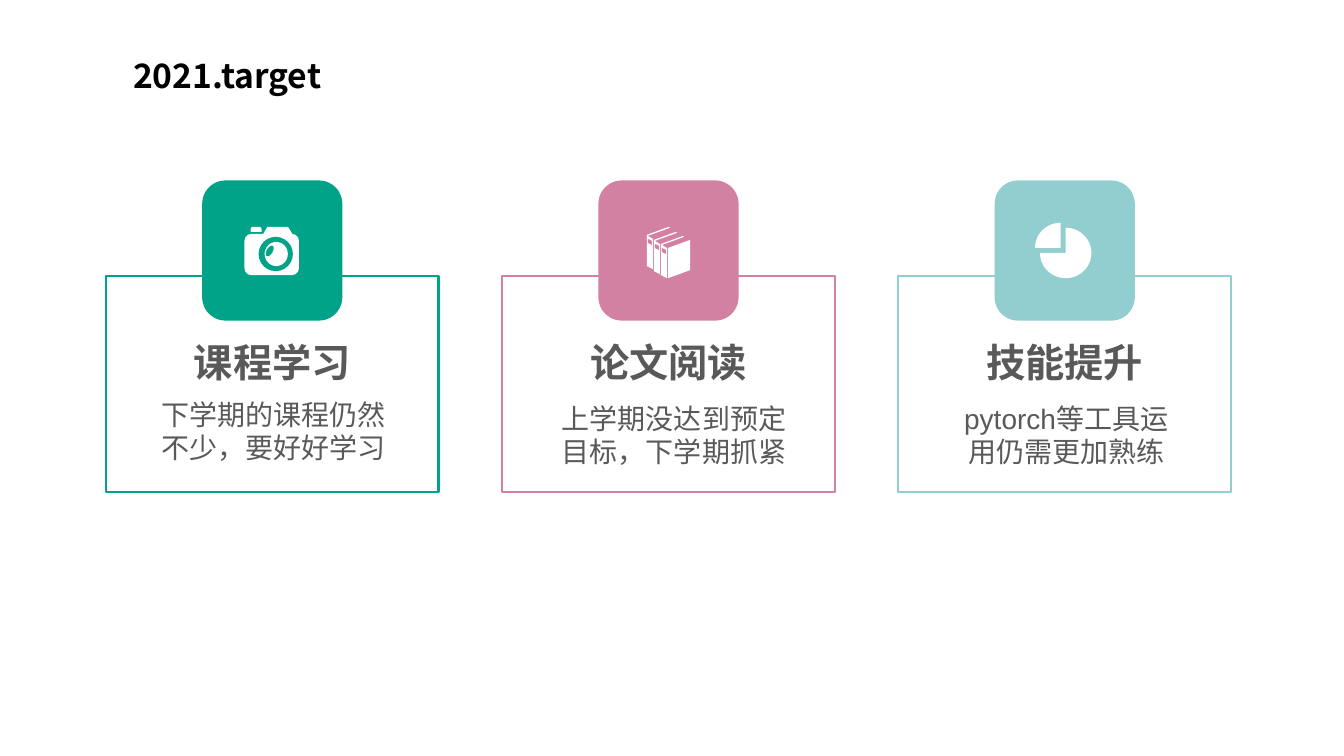
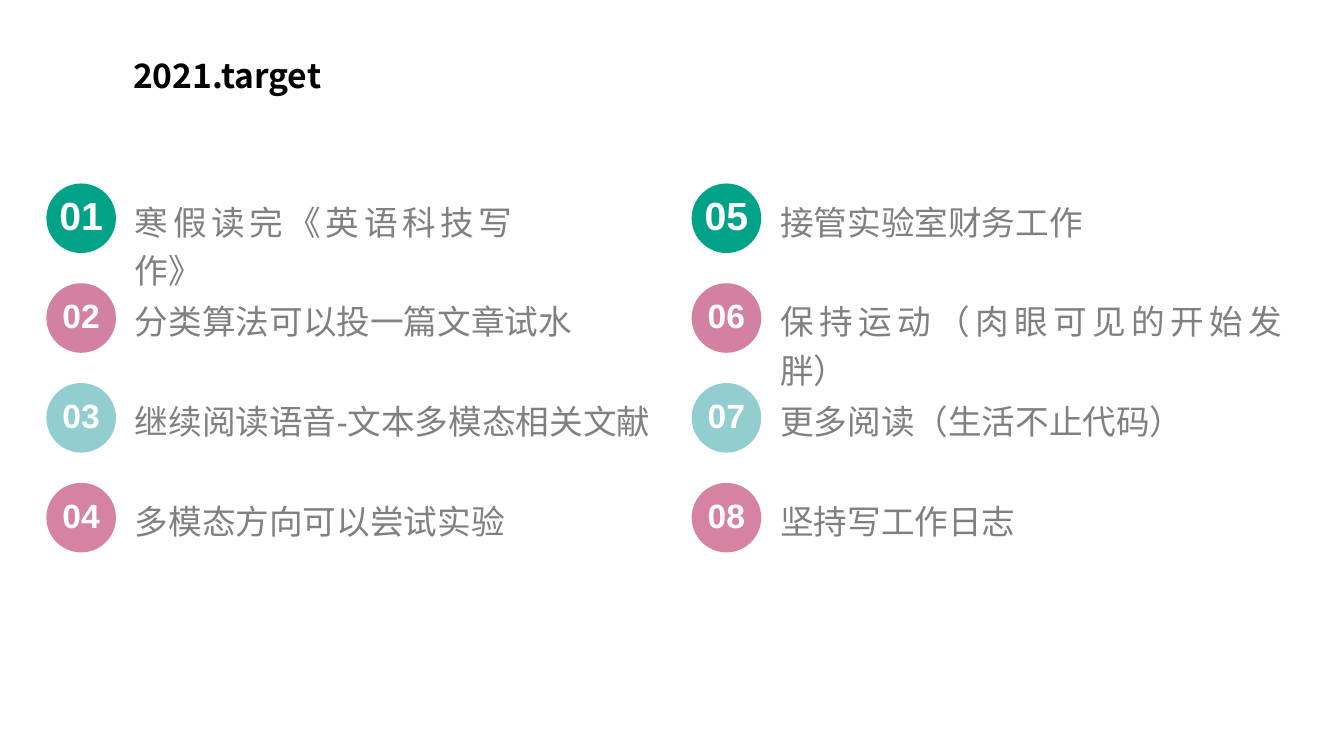
from dataclasses import dataclass
from typing import Callable

import pptx
import pptx.dml.color
import pptx.enum.shapes
import pptx.enum.text
import pptx.oxml
import pptx.oxml.ns
import pptx.presentation
import pptx.shapes.autoshape
import pptx.shapes.shapetree
import pptx.slide
import pptx.text.text
import pptx.util

Inches = pptx.util.Inches
RGBColor = pptx.dml.color.RGBColor
Shape = pptx.shapes.autoshape.Shape
Shapes = pptx.shapes.shapetree.SlideShapes | pptx.shapes.shapetree.GroupShapes
Kind = pptx.enum.shapes.MSO_SHAPE
Align = pptx.enum.text.PP_ALIGN
Anchor = pptx.enum.text.MSO_ANCHOR

GREEN = RGBColor(0x00, 0xA3, 0x88)
PINK = RGBColor(0xD3, 0x81, 0xA2)
ROSE = RGBColor(0xD5, 0x82, 0xA3)
AQUA = RGBColor(0x92, 0xCD, 0xCF)
WHITE = RGBColor(0xFF, 0xFF, 0xFF)
BLACK = RGBColor(0x00, 0x00, 0x00)
DARK_GRAY = RGBColor(0x59, 0x59, 0x59)
GRAY = RGBColor(0x80, 0x80, 0x80)

TITLE = "2021.target"
TITLE_FONT = "Noto Sans CJK SC"
BODY_FONT = "Arial"

CARD_LEFT, CARD_TOP, CARD_PITCH = 1.05, 2.74, 3.93
CARD_W, CARD_H = 3.3, 2.14
BADGE_TOP, BADGE_SIZE = 1.79, 1.39

GOAL_LEFT, GOAL_TOP = 0.46, 1.82
GOAL_COL_PITCH, GOAL_ROW_PITCH = 6.4, 0.99
CIRCLE_SIZE = 0.69
ROW_COLORS = (GREEN, PINK, AQUA, ROSE)


@dataclass(frozen=True)
class Card:
    heading: str
    body: str
    body_dx: float
    body_top: float
    color: RGBColor
    draw_icon: Callable[[Shapes, float, float, RGBColor], None]


@dataclass(frozen=True)
class Goal:
    text: str
    width: float
    height: float = 0.54


def add_run(p: pptx.text.text._Paragraph, text: str, size: float, color: RGBColor,
            bold: bool = False, font: str = BODY_FONT) -> None:
    """Add a run with the same font for Latin and East Asian characters."""
    r = p.add_run()
    r.text = text
    r.font.size = pptx.util.Pt(size)
    r.font.bold = bold
    r.font.color.rgb = color
    r.font.name = font
    ea = pptx.oxml.parse_xml(f'<a:ea {pptx.oxml.ns.nsdecls("a")} typeface="{font}"/>')
    r.font._element.find(pptx.oxml.ns.qn("a:latin")).addnext(ea)


def add_filled(shapes: Shapes, kind: Kind, x: float, y: float, w: float, h: float,
               color: RGBColor) -> Shape:
    sp = shapes.add_shape(kind, Inches(x), Inches(y), Inches(w), Inches(h))
    sp.shadow.inherit = False
    sp.fill.solid()
    sp.fill.fore_color.rgb = color
    sp.line.fill.background()
    return sp


def add_polygon(shapes: Shapes, points: list[tuple[float, float]], color: RGBColor) -> None:
    first, *rest = [(Inches(x), Inches(y)) for x, y in points]
    builder = shapes.build_freeform(*first)
    builder.add_line_segments(rest)
    sp = builder.convert_to_shape()
    sp.shadow.inherit = False
    sp.fill.solid()
    sp.fill.fore_color.rgb = color
    sp.line.fill.background()


def add_text(shapes: Shapes, text: str, x: float, y: float, w: float, h: float, size: float,
             color: RGBColor, align: Align, bold: bool = False,
             spacing: float | None = None) -> None:
    tf = shapes.add_textbox(Inches(x), Inches(y), Inches(w), Inches(h)).text_frame
    tf.word_wrap = True
    p = tf.paragraphs[0]
    p.alignment = align
    p.line_spacing = spacing
    add_run(p, text, size, color, bold)


def draw_camera(shapes: Shapes, x: float, y: float, color: RGBColor) -> None:
    flash = add_filled(shapes, Kind.ROUND_2_SAME_RECTANGLE, x + 0.48, y + 0.46, 0.11, 0.05, WHITE)
    flash.adjustments[0] = 0.5
    add_filled(shapes, Kind.TRAPEZOID, x + 0.6, y + 0.46, 0.3, 0.08, WHITE).adjustments[0] = 0.6
    add_filled(shapes, Kind.ROUNDED_RECTANGLE, x + 0.42, y + 0.53, 0.54, 0.41, WHITE)
    add_filled(shapes, Kind.OVAL, x + 0.56, y + 0.56, 0.34, 0.34, color)
    add_filled(shapes, Kind.OVAL, x + 0.62, y + 0.61, 0.23, 0.24, WHITE)
    add_filled(shapes, Kind.OVAL, x + 0.64, y + 0.64, 0.06, 0.12, color).rotation = 30


def draw_books(shapes: Shapes, x: float, y: float, color: RGBColor) -> None:
    binding = ((0.62, 0.63), (0.84, 0.55), (0.85, 0.56), (0.63, 0.64),
               (0.68, 0.67), (0.68, 0.97), (0.62, 0.94))
    label = ((0.63, 0.67), (0.67, 0.69), (0.67, 0.73), (0.63, 0.71))
    for dx, dy in ((-0.14, -0.09), (-0.07, -0.04), (0, 0)):
        for outline, fill in ((binding, WHITE), (label, color)):
            add_polygon(shapes, [(x + px + dx, y + py + dy) for px, py in outline], fill)
    cover = ((0.69, 0.67), (0.69, 0.97), (0.91, 0.89), (0.91, 0.59))
    add_polygon(shapes, [(x + px, y + py) for px, py in cover], WHITE)


def draw_pie(shapes: Shapes, x: float, y: float, color: RGBColor) -> None:
    """Draw a three-quarter pie and its detached quarter; angles are in 0.6 ths of a degree."""
    left, top = 108, 162
    for dx, dy, start, end in ((0.45, 0.47, top, left), (0.4, 0.42, left, top)):
        sp = add_filled(shapes, Kind.PIE, x + dx, y + dy, 0.51, 0.5, WHITE)
        sp.adjustments[0] = start
        sp.adjustments[1] = end


CARDS = (
    Card("课程学习", "下学期的课程仍然不少，要好好学习", 0.44, 3.89, GREEN, draw_camera),
    Card("论文阅读", "上学期没达到预定目标，下学期抓紧", 0.48, 3.93, PINK, draw_books),
    Card("技能提升", "pytorch等工具运用仍需更加熟练", 0.44, 3.93, AQUA, draw_pie),
)

GOALS = (
    Goal("寒假读完《英语科技写作》", 3.94, 0.88),
    Goal("分类算法可以投一篇文章试水", 4.78),
    Goal("继续阅读语音-文本多模态相关文献", 5.37),
    Goal("多模态方向可以尝试实验", 3.94, 0.88),
    Goal("接管实验室财务工作", 3.94),
    Goal("保持运动（肉眼可见的开始发胖）", 5.18),
    Goal("更多阅读（生活不止代码）", 5.37),
    Goal("坚持写工作日志", 3.94, 0.88),
)


def add_titled_slide(prs: pptx.presentation.Presentation) -> pptx.slide.Slide:
    s = prs.slides.add_slide(prs.slide_layouts.get_by_name("Title Only"))
    title = s.shapes.title
    title.left, title.top = Inches(1.22), Inches(0.49)
    title.width, title.height = Inches(5.7), Inches(0.5)
    tf = title.text_frame
    tf.auto_size = pptx.enum.text.MSO_AUTO_SIZE.NONE
    tf.vertical_anchor = Anchor.MIDDLE
    p = tf.paragraphs[0]
    p.alignment = Align.LEFT
    add_run(p, TITLE, 24, BLACK, True, TITLE_FONT)
    return s


def add_card(s: pptx.slide.Slide, card: Card, x: float) -> None:
    shapes = s.shapes.add_group_shape().shapes
    frame = add_filled(shapes, Kind.RECTANGLE, x, CARD_TOP, CARD_W, CARD_H, WHITE)
    frame.fill.background()
    frame.line.color.rgb = card.color
    frame.line.width = pptx.util.Pt(1.5)
    badge_x = x + (CARD_W - BADGE_SIZE) / 2
    add_filled(shapes, Kind.ROUNDED_RECTANGLE, badge_x, BADGE_TOP, BADGE_SIZE, BADGE_SIZE,
               card.color)
    add_text(shapes, card.heading, x + 0.41, 3.31, 2.48, 0.57, 28, DARK_GRAY, Align.CENTER, True)
    add_text(shapes, card.body, x + card.body_dx, card.body_top, 2.45, 0.77, 20, DARK_GRAY,
             Align.CENTER)
    card.draw_icon(shapes, badge_x, BADGE_TOP, card.color)


def add_goal(s: pptx.slide.Slide, index: int, goal: Goal) -> None:
    col, row = divmod(index, len(ROW_COLORS))
    x = GOAL_LEFT + col * GOAL_COL_PITCH
    y = GOAL_TOP + row * GOAL_ROW_PITCH
    circle = add_filled(s.shapes, Kind.OVAL, x, y, CIRCLE_SIZE, CIRCLE_SIZE, ROW_COLORS[row])
    tf = circle.text_frame
    tf.margin_left = tf.margin_top = tf.margin_right = tf.margin_bottom = 0
    tf.vertical_anchor = Anchor.MIDDLE
    p = tf.paragraphs[0]
    p.alignment = Align.CENTER
    p.line_spacing = 0.9
    add_run(p, f"{index + 1:02}", 28 if row == 0 else 24, WHITE, True)
    add_text(s.shapes, goal.text, x + 0.78, y + 0.05, goal.width, goal.height, 24, GRAY,
             Align.JUSTIFY, spacing=1.2)


def main() -> None:
    prs = pptx.Presentation()
    prs.slide_width, prs.slide_height = Inches(13.33), Inches(7.5)
    s = add_titled_slide(prs)
    for i, card in enumerate(CARDS):
        add_card(s, card, CARD_LEFT + i * CARD_PITCH)
    s = add_titled_slide(prs)
    for i, goal in enumerate(GOALS):
        add_goal(s, i, goal)
    prs.save("out.pptx")


if __name__ == "__main__":
    main()
